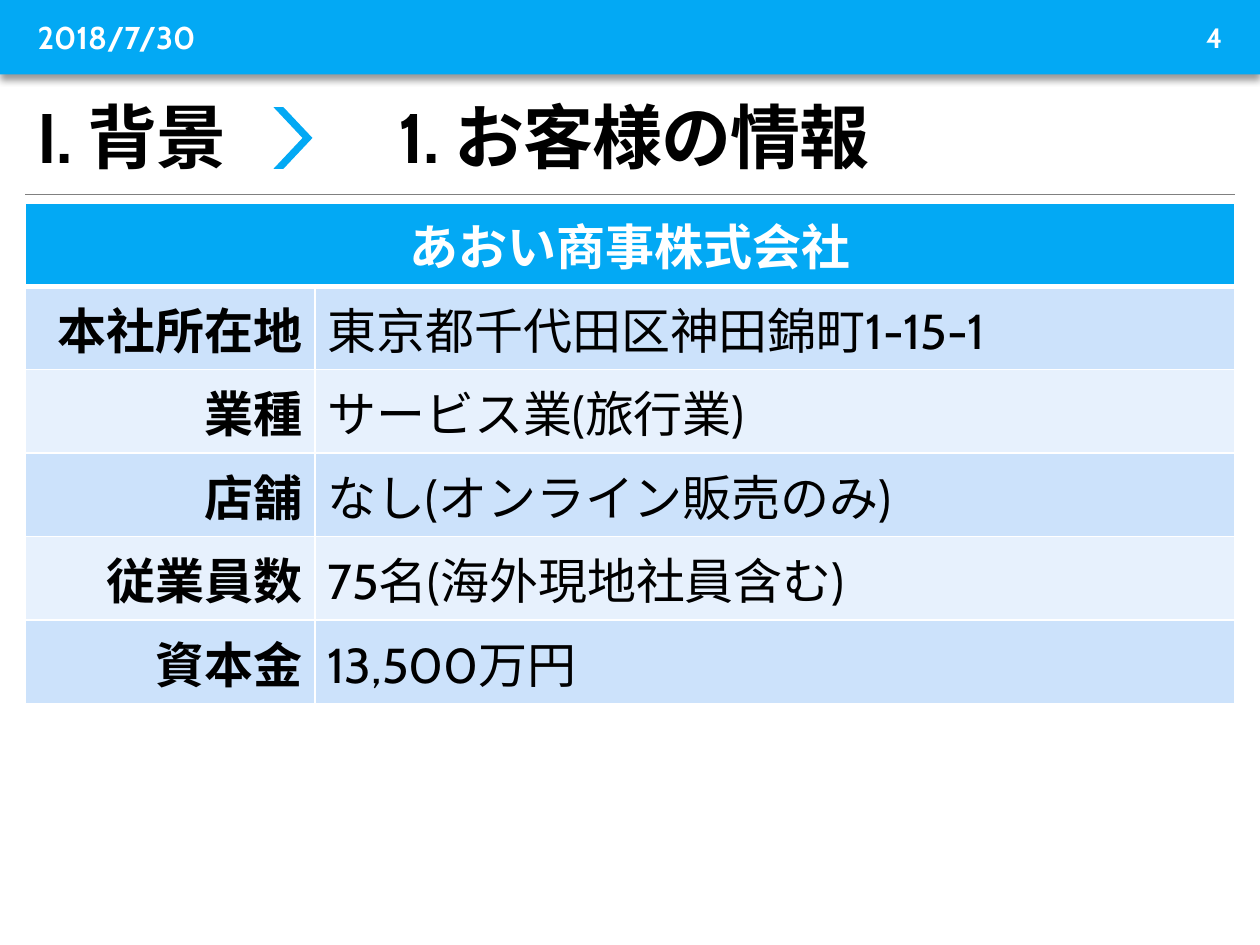
from lxml import etree
from pptx import Presentation
from pptx import util as u
from pptx.dml.color import RGBColor
from pptx.enum import shapes, text
from pptx.oxml import parse_xml
from pptx.oxml.ns import qn

THEME = dict(font="Cabin", blue="03A9F4", band=("CCE2FB", "E7F1FD"), rule="808080",
             ink="000000", paper="FFFFFF", title=40, cell=28, date=18, page=16)
NS = 'xmlns:a="http://schemas.openxmlformats.org/drawingml/2006/main"'
TITLE = "I. 背景\t1. お客様の情報"
FIRM = "あおい商事株式会社"
FACTS = [
    ("本社所在地", "東京都千代田区神田錦町1-15-1"),
    ("業種", "サービス業(旅行業)"),
    ("店舗", "なし(オンライン販売のみ)"),
    ("従業員数", "75名(海外現地社員含む)"),
    ("資本金", "13,500万円"),
]
LEFT, MID, RIGHT = text.PP_ALIGN.LEFT, text.PP_ALIGN.CENTER, text.PP_ALIGN.RIGHT
LABELS = [
    ("2018/7/30", (0.2, 0.1, 1.77, 0.39), "date", LEFT),
    ("4", (8.07, 0.1, 1.73, 0.39), "page", RIGHT),
]
COLS, ROW = (2.3, 7.3), 0.57


def box(*dims):
    return [u.Inches(d) for d in dims]


def tint(name):
    return RGBColor.from_string(THEME.get(name, name))


def write(frame, words, size, color, align=LEFT, bold=True):
    frame.text = words
    par = frame.paragraphs[0]
    par.alignment = align
    run = par.runs[0]
    look = dict(name=THEME["font"], size=u.Pt(THEME[size]), bold=bold)
    for key, val in look.items():
        setattr(run.font, key, val)
    run.font.color.rgb = tint(color)
    return par


def solid(kind, dims):
    shape = slide.shapes.add_shape(kind, *box(*dims))
    shape.shadow.inherit = False
    shape.fill.solid()
    shape.fill.fore_color.rgb = tint("blue")
    shape.line.fill.background()
    return shape


def paint(cell, fill, base=1):
    props = cell._tc.get_or_add_tcPr()
    for side, width in dict(L=1, R=1, T=1, B=base).items():
        props.append(parse_xml(
            f'<a:ln{side} {NS} w="{u.Pt(width)}"><a:solidFill>'
            f'<a:srgbClr val="{THEME["paper"]}"/></a:solidFill></a:ln{side}>'))
    cell.fill.solid()
    cell.fill.fore_color.rgb = tint(fill)


deck = Presentation()
deck.slide_width, deck.slide_height = box(10, 7.5)
slide = deck.slides.add_slide(deck.slide_layouts[5])

bar = solid(shapes.MSO_SHAPE.RECTANGLE, (0, 0, 10, 0.59))
bar._element.spPr.find(qn("a:effectLst")).append(parse_xml(
    f'<a:outerShdw {NS} blurRad="{u.Pt(4)}" dist="{u.Pt(3)}" dir="5400000">'
    f'<a:srgbClr val="{THEME["ink"]}"><a:alpha val="40000"/></a:srgbClr></a:outerShdw>'))

rule = slide.shapes.add_connector(shapes.MSO_CONNECTOR.STRAIGHT, *box(0.2, 1.54, 9.8, 1.54))
rule.line.color.rgb = tint("rule")
rule.line.width = u.Pt(0.5)
etree.SubElement(rule._element.spPr, qn("a:effectLst"))

head = slide.shapes.title
head.left, head.top, head.width, head.height = box(0.2, 0.67, 9.61, 0.79)
frame = head.text_frame
par = write(frame, TITLE, "title", "ink")
frame.auto_size = text.MSO_AUTO_SIZE.NONE
frame.vertical_anchor = text.MSO_ANCHOR.BOTTOM
par.line_spacing = 0.85
par.runs[0].font._element.set("spc", "-50")
par._p.get_or_add_pPr().append(parse_xml(
    f'<a:tabLst {NS}><a:tab pos="{u.Inches(2.86)}" algn="l"/></a:tabLst>'))

rows = len(FACTS) + 1
grid = slide.shapes.add_table(rows, 2, *box(0.2, 1.61, sum(COLS), ROW * rows)).table
for col, width in zip(grid.columns, COLS):
    col.width = u.Inches(width)
for cell in grid.rows[0].cells:
    paint(cell, "blue", 3)
grid.cell(0, 0).merge(grid.cell(0, 1))
write(grid.cell(0, 0).text_frame, FIRM, "cell", "paper", MID)
for i, fact in enumerate(FACTS):
    for j, words in enumerate(fact):
        cell = grid.cell(i + 1, j)
        paint(cell, THEME["band"][i % 2])
        write(cell.text_frame, words, "cell", "ink", (RIGHT, LEFT)[j], j == 0)

for words, dims, size, align in LABELS:
    frame = slide.shapes.add_textbox(*box(*dims)).text_frame
    frame.word_wrap = True
    frame.vertical_anchor = text.MSO_ANCHOR.MIDDLE
    write(frame, words, size, "paper", align)

arrow = solid(shapes.MSO_SHAPE.CHEVRON, (2.17, 0.85, 0.31, 0.49))
arrow.adjustments[0] = 0.745

deck.save("out.pptx")
